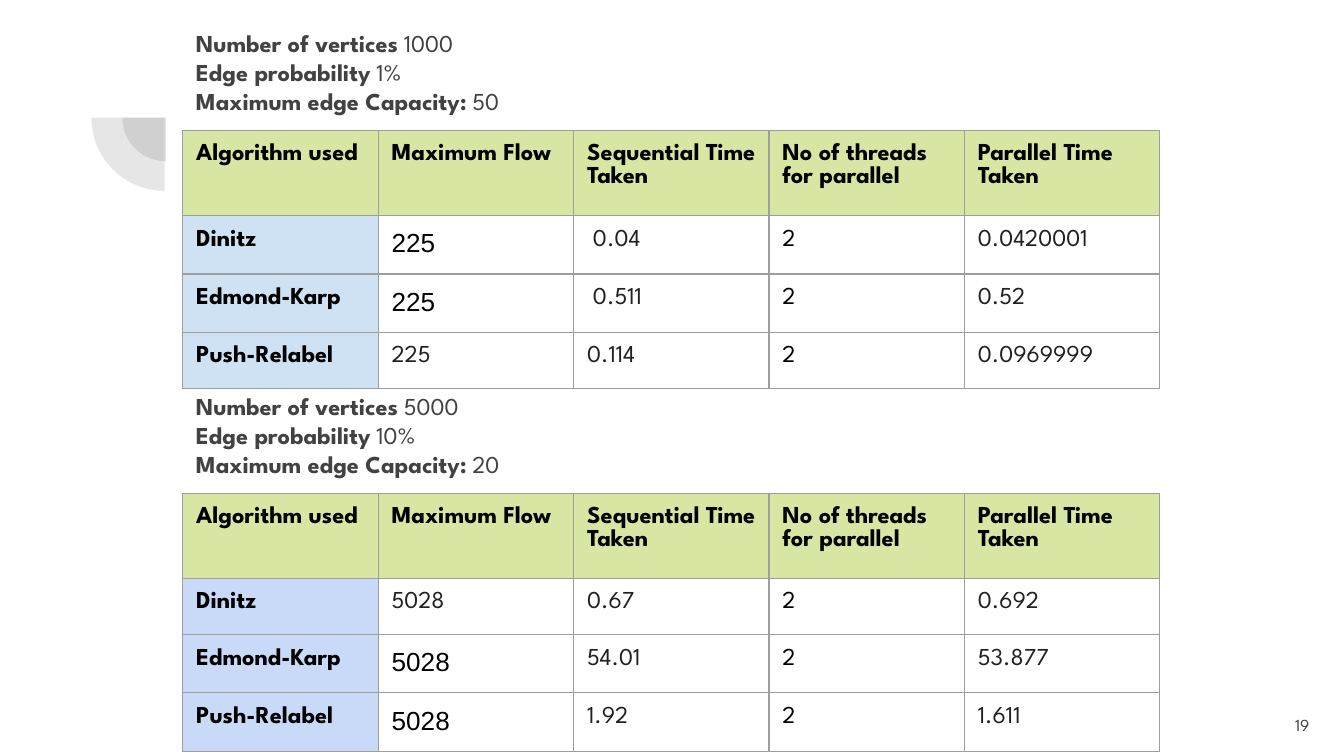
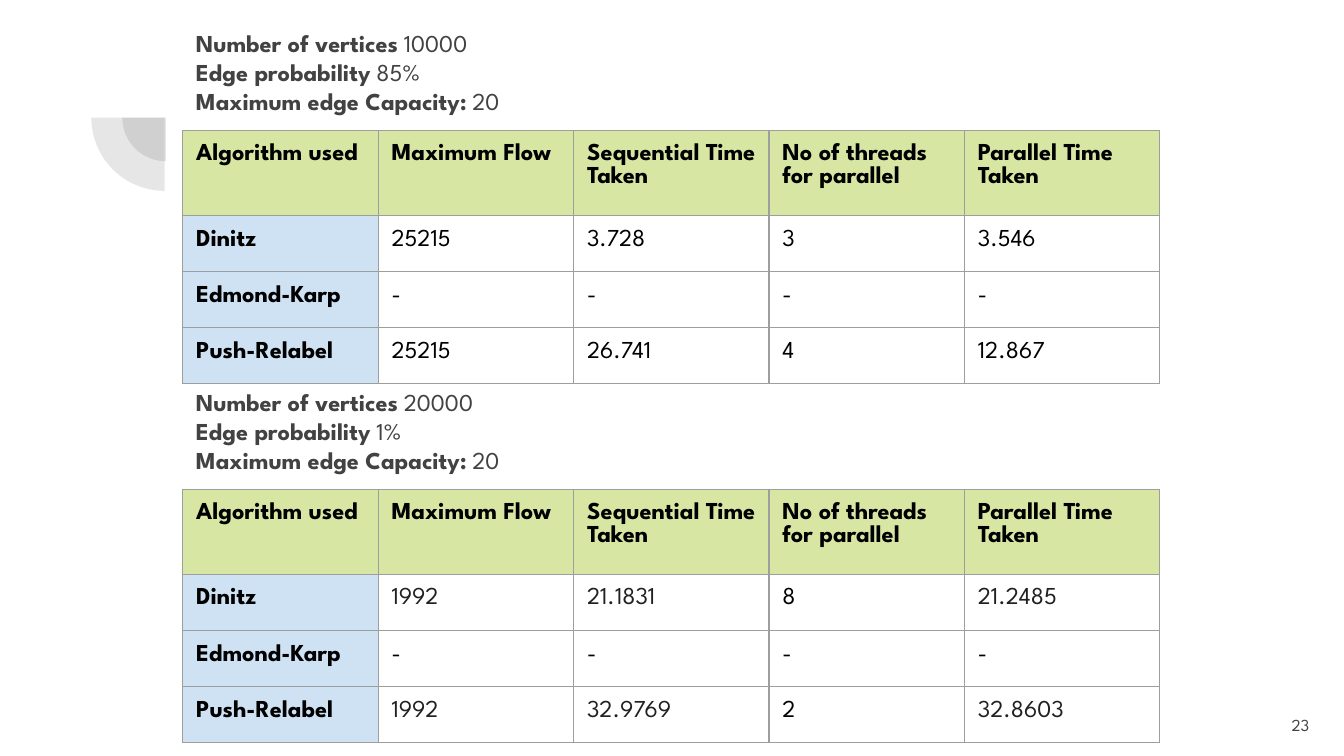
from lxml import etree
from pptx import Presentation
from pptx.dml.color import RGBColor
from pptx.enum.shapes import MSO_SHAPE
from pptx.enum.text import MSO_ANCHOR, MSO_AUTO_SIZE, PP_ALIGN
from pptx.oxml.ns import qn
from pptx.util import Inches, Pt

PIE = MSO_SHAPE.PIE
MIDDLE = MSO_ANCHOR.MIDDLE
RIGHT = PP_ALIGN.RIGHT
GROW = MSO_AUTO_SIZE.SHAPE_TO_FIT_TEXT

FONT = "League Spartan"
PLAIN = "Arial"
COLORS = {
    "black": "000000",
    "ink": "212121",
    "grey": "424242",
    "line": "9E9E9E",
    "head": "D7E6A3",
    "sky": "CFE2F3",
    "blue": "C9DAF8",
}

LEFT, WIDTH = 1.36, 7.27
CAP_H = 0.86
EVEN = [0.38] * 4
HEADS = ["Algorithm used", "Maximum Flow", "Sequential Time Taken",
         "No of threads\nfor parallel", "Parallel Time Taken"]
NAMES = ["Dinitz", "Edmond-Karp", "Push-Relabel"]
LABELS = ["Number of vertices", "Edge probability", "Maximum edge Capacity:"]
THREADS = 3  # column that always stays black

# One entry per slide: page number and its two test runs
SLIDES = [
    (19, [
        dict(top=0.97, setup=["1000", "1%", "50"], side="sky", ink="ink",
             plain=[1, 2], heights=EVEN, tight=True,
             rows=[["225", " 0.04", "2", "0.0420001"],
                   ["225", " 0.511", "2", "0.52"],
                   ["225", "0.114", "2", "0.0969999"]]),
        dict(top=3.67, setup=["5000", "10%", "20"], side="blue", ink="ink",
             plain=[2, 3], heights=[0.38, 0.38, 0.11, 0.11], tight=False,
             rows=[["5028", "0.67", "2", "0.692"],
                   ["5028", "54.01", "2", "53.877"],
                   ["5028", "1.92", "2", "1.611"]]),
    ]),
    (23, [
        dict(top=0.97, setup=["10000", "85%", "20"], side="sky", ink="black",
             plain=[], heights=EVEN, tight=True,
             rows=[["25215", "3.728", "3", "3.546"],
                   ["-"] * 4,
                   ["25215", "26.741", "4", "12.867"]]),
        dict(top=3.64, setup=["20000", "1%", "20"], side="sky", ink="ink",
             plain=[], heights=EVEN, tight=False,
             rows=[["1992", "21.1831", "8", "21.2485"],
                   ["-"] * 4,
                   ["1992", "32.9769", "2", "32.8603"]]),
    ]),
]


def rgb(name):
    return RGBColor.from_string(COLORS[name])


class Deck:
    def __init__(self):
        self.prs = Presentation()
        self.prs.slide_width = Inches(10)
        self.prs.slide_height = Inches(10) * 9 // 16
        self.slide = None

    def start(self, page):
        self.slide = self.prs.slides.add_slide(self.prs.slide_layouts[6])
        self.arcs()
        self.number(page)

    def style(self, font, color, size=13, bold=False, name=FONT):
        font.name, font.size, font.bold = name, Pt(size), bold
        font.color.rgb = rgb(color)

    def box(self, x, y, w, h):
        shape = self.slide.shapes.add_textbox(
            Inches(x), Inches(y), Inches(w), Inches(h))
        frame = shape.text_frame
        frame.word_wrap = True
        frame.margin_left = frame.margin_right = Inches(0.1)
        frame.margin_top = frame.margin_bottom = Inches(0.1)
        return frame

    # Two quarter discs around one centre
    def arcs(self):
        group = self.slide.shapes.add_group_shape()
        for x, y, size in ((0.91, 0.55, 0.65), (0.68, 0.33, 1.09)):
            pie = group.shapes.add_shape(
                PIE, Inches(x), Inches(y), Inches(size), Inches(size))
            pie.adjustments[0], pie.adjustments[1] = 108, 162
            pie.rotation = 270
            pie.shadow.inherit = False
            pie.line.fill.background()
            pie.fill.solid()
            pie.fill.fore_color.rgb = rgb("grey")
            tone = pie.fill._xPr.find(".//" + qn("a:srgbClr"))
            etree.SubElement(tone, qn("a:alpha"), val="13000")

    def number(self, page):
        frame = self.box(9.24, 5.18, 0.6, 0.43)
        frame.vertical_anchor = MIDDLE
        para = frame.paragraphs[0]
        para.text = str(page)
        para.alignment = RIGHT
        self.style(para.font, "grey", 9)

    # Bold label and plain value on each line
    def caption(self, top, setup):
        frame = self.box(LEFT, top, 3.28, CAP_H)
        frame.auto_size = GROW
        for i, (label, value) in enumerate(zip(LABELS, setup)):
            para = frame.add_paragraph() if i else frame.paragraphs[0]
            for text, bold in ((label, True), (" " + value, False)):
                run = para.add_run()
                run.text = text
                self.style(run.font, "grey", bold=bold)

    def edges(self, cell):
        props = cell._tc.get_or_add_tcPr()
        for side in "LRTB":
            line = etree.SubElement(props, qn("a:ln" + side), w=str(Pt(0.75)))
            fill = etree.SubElement(line, qn("a:solidFill"))
            etree.SubElement(fill, qn("a:srgbClr"), val=COLORS["line"])

    def cell(self, cell, text, tight, fill=None, **look):
        cell.margin_left = cell.margin_right = Inches(0.1)
        cell.margin_top = cell.margin_bottom = Inches(0.1)
        self.edges(cell)
        if fill:
            cell.fill.solid()
            cell.fill.fore_color.rgb = rgb(fill)
        else:
            cell.fill.background()
        cell.text_frame.text = text
        for para in cell.text_frame.paragraphs:
            self.style(para.font, **look)
            if tight:
                # The end mark sets the least line height
                end = etree.SubElement(para._p, qn("a:endParaRPr"), sz="1300")
                etree.SubElement(end, qn("a:latin"), typeface=FONT)

    def table(self, run):
        heights, tight = run["heights"], run["tight"]
        grid = self.slide.shapes.add_table(
            len(heights), len(HEADS), Inches(LEFT), Inches(run["top"]),
            Inches(WIDTH), Inches(sum(heights))).table
        grid.first_row = grid.horz_banding = False
        for col in grid.columns:
            col.width = Inches(WIDTH / len(HEADS))
        for row, height in zip(grid.rows, heights):
            row.height = Inches(height)

        # Header row, then one row per algorithm
        for c, head in enumerate(HEADS):
            self.cell(grid.cell(0, c), head, tight, "head",
                      color="black", bold=True)
        for r, (name, values) in enumerate(zip(NAMES, run["rows"]), 1):
            self.cell(grid.cell(r, 0), name, tight, run["side"],
                      color="black", bold=True)
            for c, value in enumerate(values, 1):
                look = dict(color=run["ink"])
                if c == THREADS or value == "-":
                    look = dict(color="black")
                elif c == 1 and r in run["plain"]:
                    look = dict(color="black", size=14, name=PLAIN)
                self.cell(grid.cell(r, c), value, tight, **look)


def main():
    deck = Deck()
    for page, runs in SLIDES:
        deck.start(page)
        for run in runs:
            deck.table(run)
            deck.caption(run["top"] - CAP_H, run["setup"])
    deck.prs.save("out.pptx")


if __name__ == "__main__":
    main()
